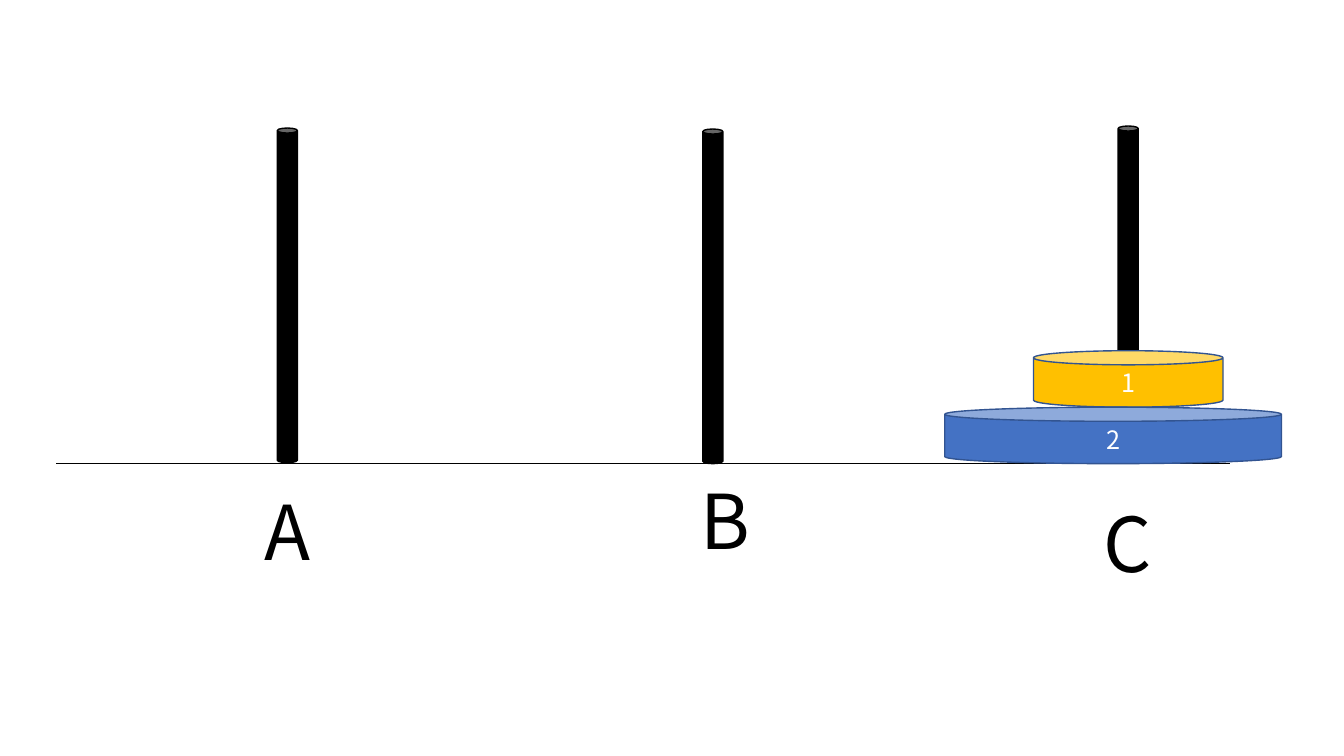
from pptx import Presentation
from pptx.dml.color import RGBColor
from pptx.enum.shapes import MSO_CONNECTOR, MSO_SHAPE
from pptx.enum.text import MSO_ANCHOR, MSO_AUTO_SIZE, PP_ALIGN
from pptx.oxml.ns import qn
from pptx.util import Pt
from lxml.etree import SubElement

PX = 9144
FONT = "Noto Sans CJK KR"
HUES = {"ink": "000000", "gold": "FFC000", "blue": "4472C4",
        "edge": "325491", "white": "FFFFFF"}
PEGS = [("A", (275, 127), (250, 476, 70)),
        ("B", (697, 128), (685, 465, 64)),
        ("C", (1109, 125), (1084, 488, 68))]
DISCS = [("1", (1025, 348, 188, 56), "gold"),
         ("2", (937, 404, 334, 56), "blue")]


def emu(*nums):
    """Turn px lengths into EMU."""
    return [num * PX for num in nums]


def hue(name):
    """Give the named colour."""
    return RGBColor.from_string(HUES[name])


def write(shape, text, size, tint):
    """Put one centred line of text in a shape."""
    frame = shape.text_frame
    frame.text = text
    line = frame.paragraphs[0]
    line.alignment = PP_ALIGN.CENTER
    font = line.runs[0].font
    font.name, font.size = FONT, Pt(size)
    font.color.rgb = hue(tint)


def add_can(slide, box, fill, edge):
    """Draw a cylinder in the box."""
    can = slide.shapes.add_shape(MSO_SHAPE.CAN, *emu(*box))
    can.shadow.inherit = False
    can.fill.solid()
    can.fill.fore_color.rgb = hue(fill)
    can.line.color.rgb = hue(edge)
    can.line.width = Pt(1)
    return can


def add_base(slide, left, right, top):
    """Draw the ground line."""
    base = slide.shapes.add_connector(
        MSO_CONNECTOR.STRAIGHT, *emu(left, top, right, top))
    base.line.color.rgb = hue("ink")
    base.line.width = Pt(0.5)
    SubElement(base._element.spPr, qn("a:effectLst"))


def add_peg(slide, name, spot, label):
    """Draw a peg at its spot and its letter below."""
    add_can(slide, (*spot, 20, 332), "ink", "ink")
    text = slide.shapes.add_textbox(*emu(*label, 101))
    text.text_frame.word_wrap = False
    text.text_frame.auto_size = MSO_AUTO_SIZE.SHAPE_TO_FIT_TEXT
    write(text, name, 54, "ink")


def add_disc(slide, name, box, fill):
    """Draw a numbered disc in the box."""
    disc = add_can(slide, box, fill, "edge")
    disc.text_frame.vertical_anchor = MSO_ANCHOR.MIDDLE
    write(disc, name, 18, "white")


def main():
    """Build the tower slide and save it."""
    deck = Presentation()
    deck.slide_width, deck.slide_height = emu(1333, 750)
    slide = deck.slides.add_slide(deck.slide_layouts[6])
    add_base(slide, 56, 1220, 460)
    for peg in PEGS:
        add_peg(slide, *peg)
    for disc in DISCS:
        add_disc(slide, *disc)
    deck.save("out.pptx")


if __name__ == "__main__":
    main()
